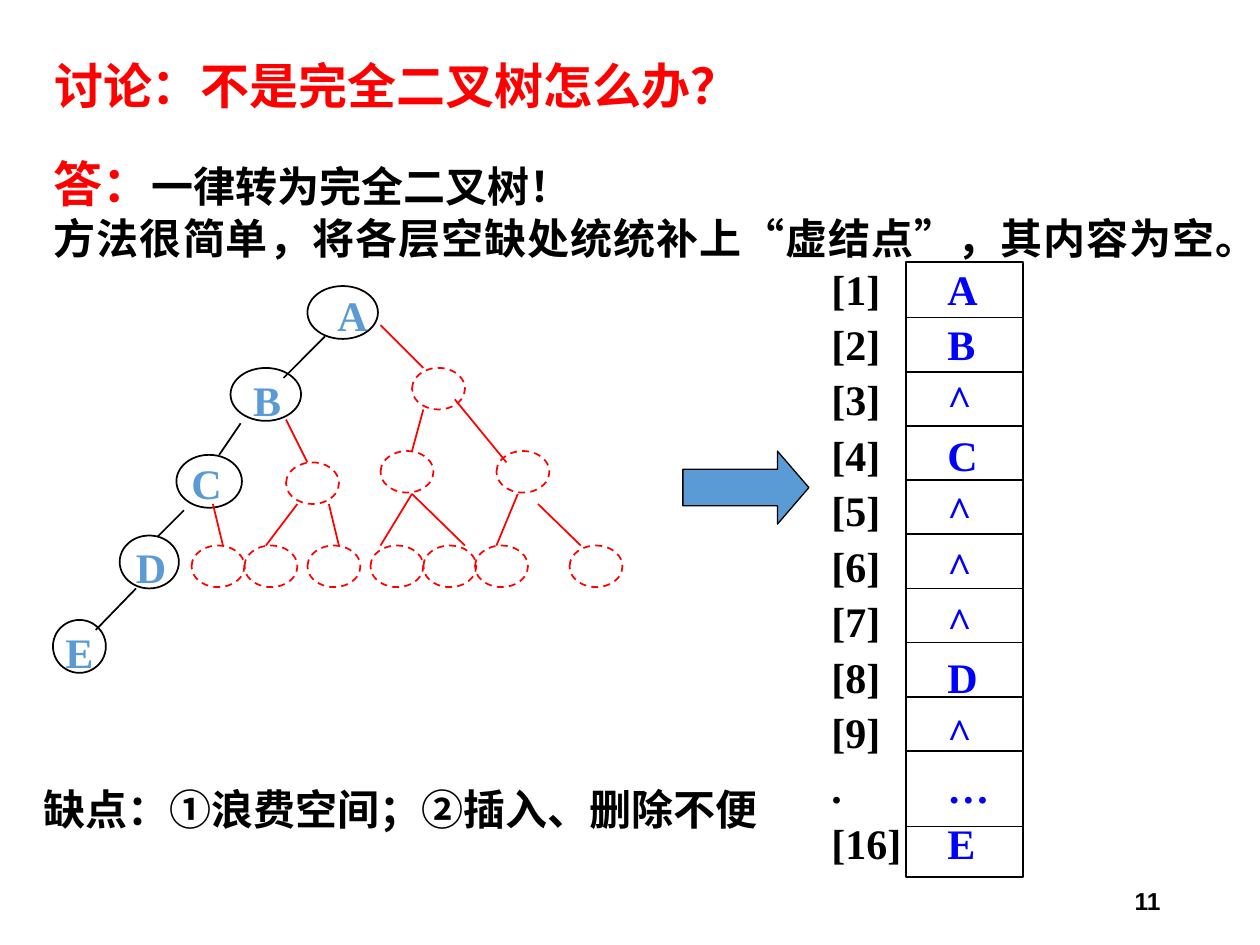
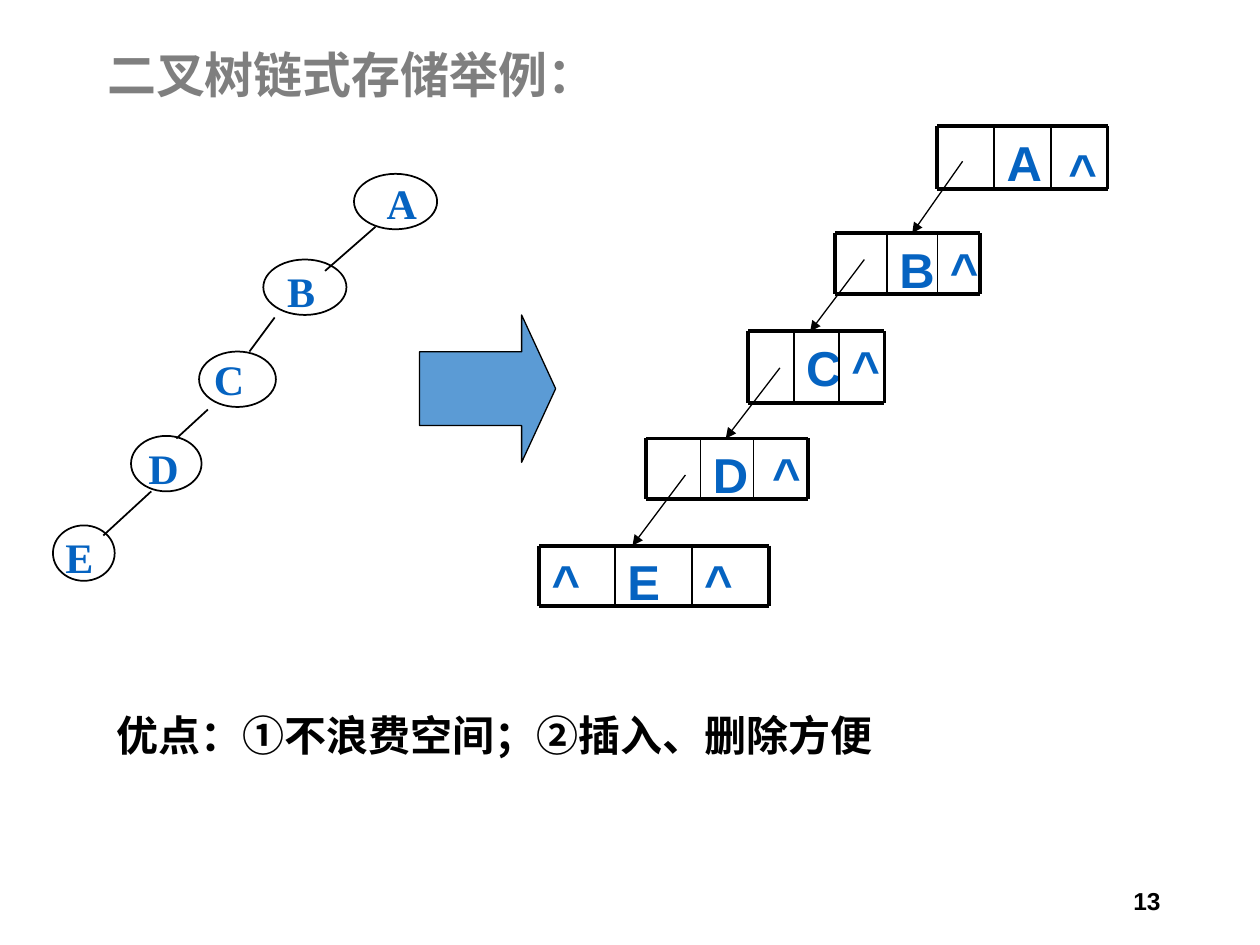
from lxml import etree
from pptx import Presentation
from pptx.dml.color import RGBColor
from pptx.enum.dml import MSO_LINE
from pptx.enum.shapes import MSO_CONNECTOR, MSO_SHAPE
from pptx.enum.text import MSO_ANCHOR, MSO_AUTO_SIZE, PP_ALIGN
from pptx.oxml.ns import qn
from pptx.util import Inches, Pt

STRAIGHT = MSO_CONNECTOR.STRAIGHT
OVAL, RECT, ARROW = MSO_SHAPE.OVAL, MSO_SHAPE.RECTANGLE, MSO_SHAPE.RIGHT_ARROW
LEFT, RIGHT, JUSTIFY = PP_ALIGN.LEFT, PP_ALIGN.RIGHT, PP_ALIGN.JUSTIFY
MIDDLE, TOP = MSO_ANCHOR.MIDDLE, MSO_ANCHOR.TOP
FIT, FIXED = MSO_AUTO_SIZE.SHAPE_TO_FIT_TEXT, MSO_AUTO_SIZE.NONE
DASH = MSO_LINE.DASH

BLACK = RGBColor(0x00, 0x00, 0x00)
RED = RGBColor(0xFF, 0x00, 0x00)
GREY = RGBColor(0x7F, 0x7F, 0x7F)
SKY = RGBColor(0x5B, 0x9B, 0xD5)
LINK = RGBColor(0x05, 0x63, 0xC1)
BLUE = RGBColor(0x00, 0x00, 0xFF)
CJK, SERIF, SANS = "Noto Sans CJK SC", "Times New Roman", "Arial"

prs = Presentation()
prs.slide_width, prs.slide_height = Inches(10), Inches(7.5)
CELL = prs.slide_width / 10  # square grid: 10 columns, 7.5 rows


def at(*cells):
    return [int(c * CELL) for c in cells]


def write(sp, lines, size, font, color, align=LEFT, anchor=TOP,
          wrap=True, spacing=None, before=0):
    tf = sp.text_frame
    tf.text = "\n".join(lines)
    tf.word_wrap = wrap
    tf.auto_size = FIXED if wrap else FIT
    tf.vertical_anchor = anchor
    for p in tf.paragraphs:
        p.alignment, p.line_spacing, p.space_before = align, spacing, Pt(before)
        p.font.size, p.font.bold, p.font.name = Pt(size), True, font
        p.font.color.rgb = color
        ea = etree.SubElement(p._p.pPr.find(qn("a:defRPr")), qn("a:ea"))
        ea.set("typeface", CJK)
    return tf


# Shared parts: title, page number, conclusion, block arrow
pages = [
    ("讨论：不是完全二叉树怎么办？", RED, (0.33, 0.42, 7.25, 0.57), "11",
     "缺点：①浪费空间；②插入、删除不便", (0.25, 6.17, 6.08, 0.5),
     (5.42, 3.58, 1, 0.58), 0.43),
    ("二叉树链式存储举例：", GREY, (0.75, 0.33, 5.17, 0.57), "13",
     "优点：①不浪费空间；②插入、删除方便", (0.83, 5.58, 7, 0.5),
     (3.33, 2.5, 1.08, 1.17), 0.25),
]
slides = []
for title, color, title_box, number, verdict, verdict_box, arrow_box, head in pages:
    s = prs.slides.add_slide(prs.slide_layouts[5])
    slides.append(s)
    sp = s.shapes.title
    sp.left, sp.top, sp.width, sp.height = at(*title_box)
    write(sp, [title], 28, CJK, color, anchor=MIDDLE, spacing=0.9)
    write(s.shapes.add_textbox(*at(7.06, 6.95, 2.25, 0.4)), [number],
          14, SANS, BLACK, align=RIGHT, anchor=MIDDLE)
    write(s.shapes.add_textbox(*at(*verdict_box)), [verdict], 24, CJK, BLACK)
    sp = s.shapes.add_shape(ARROW, *at(*arrow_box))
    sp.adjustments[0], sp.adjustments[1] = 0.5, head
    sp.shadow.inherit = False
    sp.fill.solid()
    sp.fill.fore_color.rgb = SKY
    sp.line.color.rgb = BLACK
    sp.line.width = Pt(0.75)
array_slide, linked_slide = slides

# Answer text
sp = array_slide.shapes.add_textbox(*at(0.33, 1.17, 9.42, 0.97))
tf = write(sp, ["答：", "方法很简单，将各层空缺处统统补上"], 24, CJK, BLACK, align=JUSTIFY)
answer, method = tf.paragraphs
r = answer.runs[0]
r.font.size = Pt(28)
r.font.color.rgb = RED
answer.add_run().text = "一律转为完全二叉树！"
for text, font in [("“", SERIF), ("虚结点", CJK), ("”", SERIF), ("，其内容为空。", CJK)]:
    r = method.add_run()
    r.text, r.font.name = text, font

# Array columns: indices and contents
indices = [f"[{i}]" for i in range(1, 10)] + [".", "[16]"]
contents = ["A", "B", "^", "C", "^", "^", "^", "D", "^", "…", "E"]
for x, w, column, color in [(6.5, 0.76, indices, BLACK), (7.42, 0.53, contents, BLUE)]:
    write(array_slide.shapes.add_textbox(*at(x, 2, w, 4.93)), column,
          24, SERIF, color, wrap=False, spacing=1.1)

# Tree letters: letter, left, top
letters = [
    (array_slide, SKY, [("A", 2.58, 2.25), ("B", 1.91, 2.92), ("C", 1.42, 3.58),
                        ("D", 0.98, 4.25), ("E", 0.42, 4.92)]),
    (linked_slide, LINK, [("A", 2.97, 1.36), ("B", 2.18, 2.06), ("C", 1.6, 2.76),
                          ("D", 1.08, 3.46), ("E", 0.42, 4.17)]),
]
for s, color, places in letters:
    for letter, x, y in places:
        w = 0.42 if letter in "BE" else 0.44
        write(s.shapes.add_textbox(*at(x, y, w, 0.5)), [letter],
              24, SERIF, color, wrap=False)

# Outlines: tree nodes, dashed empty nodes, array frame
array_nodes = [(2.44, 2.27, 0.56, 0.42), (1.83, 2.92, 0.56, 0.42),
               (1.4, 3.61, 0.52, 0.42), (0.95, 4.25, 0.47, 0.42),
               (0.42, 4.92, 0.42, 0.42)]
linked_nodes = [(2.81, 1.38, 0.66, 0.44), (2.09, 2.06, 0.66, 0.44),
                (1.58, 2.79, 0.61, 0.44), (1.04, 3.46, 0.56, 0.44),
                (0.42, 4.17, 0.49, 0.44)]
empty_rows = [(2.92, [3.27]), (3.58, [3.02, 3.94]), (3.67, [2.27]),
              (4.33, [1.52, 1.94, 2.44, 2.94, 3.36, 3.77, 4.52])]
empty_nodes = [(x, y, 0.42, 0.33) for y, xs in empty_rows for x in xs]
outlines = [
    (array_slide, OVAL, array_nodes, BLACK, None),
    (array_slide, OVAL, empty_nodes, RED, DASH),
    (array_slide, RECT, [(7.19, 2.08, 0.93, 4.88)], BLACK, None),
    (linked_slide, OVAL, linked_nodes, BLACK, None),
]
for s, kind, boxes, color, dash in outlines:
    for box in boxes:
        sp = s.shapes.add_shape(kind, *at(*box))
        sp.shadow.inherit = False
        sp.fill.background()
        sp.line.color.rgb = color
        sp.line.width = Pt(1)
        sp.line.dash_style = dash

# Linked records: top, height, cell borders, then marks with left and top
records = [
    (1, 0.5, [7.44, 7.89, 8.34, 8.79], [("A", 7.89, 1), ("^", 8.38, 1.07)]),
    (1.85, 0.48, [6.63, 7.04, 7.44, 7.78], [("B", 7.04, 1.85), ("^", 7.44, 1.85)]),
    (2.63, 0.57, [5.94, 6.3, 6.66, 7.02], [("C", 6.3, 2.63), ("^", 6.66, 2.63)]),
    (3.48, 0.48, [5.13, 5.56, 5.98, 6.41], [("D", 5.56, 3.48), ("^", 6.03, 3.48)]),
    (4.33, 0.48, [4.28, 4.88, 5.49, 6.1],
     [("^", 4.28, 4.33), ("E", 4.88, 4.33), ("^", 5.49, 4.33)]),
]
frames, dividers = [], []
for y, h, xs, marks in records:
    w = xs[2] - xs[1]
    for mark, x, top in marks:
        write(linked_slide.shapes.add_textbox(*at(x, top, w, h)), [mark],
              28, SANS, LINK, before=3.6)
    frames += [(xs[0], edge, xs[3], edge) for edge in (y, y + h)]
    frames += [(x, y, x, y + h) for x in (xs[0], xs[3])]
    dividers += [(x, y, x, y + h) for x in xs[1:3]]

# Lines: tree edges, array rules, record borders, pointers
array_edges = [(2.58, 2.67, 2.25, 3), (1.91, 3.36, 1.74, 3.61),
               (1.46, 4.05, 1.25, 4.26), (1.08, 4.67, 0.76, 5)]
linked_edges = [(2.98, 1.8, 2.58, 2.15), (2.18, 2.52, 1.98, 2.79),
                (1.65, 3.25, 1.4, 3.48), (1.2, 3.9, 0.82, 4.25)]
empty_edges = [(3.02, 2.58, 3.36, 2.92), (3.61, 3.17, 4.02, 3.67),
               (2.27, 3.33, 2.44, 3.67), (3.36, 3.25, 3.27, 3.58),
               (1.69, 4, 1.77, 4.33), (2.36, 4, 2.11, 4.33),
               (2.61, 4, 2.69, 4.33), (3.27, 3.92, 3.02, 4.33),
               (3.27, 3.92, 3.69, 4.33), (4.11, 3.92, 3.94, 4.33),
               (4.27, 4, 4.61, 4.33)]
rule_tops = [2.52 + 0.43 * i for i in range(9)] + [6.56]
array_rules = [(7.18, y, 8.13, y) for y in rule_tops]
pointers = [(7.64, 1.28, 7.24, 1.85), (6.86, 2.06, 6.43, 2.63),
            (6.19, 2.92, 5.76, 3.48), (5.44, 3.77, 5.02, 4.33)]
line_sets = [
    (array_slide, array_edges + array_rules, BLACK, 1),
    (array_slide, empty_edges, RED, 1),
    (linked_slide, linked_edges + dividers, BLACK, 1),
    (linked_slide, frames, BLACK, 2.25),
    (linked_slide, pointers, BLACK, 0.75),
]
for s, ends, color, width in line_sets:
    for end in ends:
        line = s.shapes.add_connector(STRAIGHT, *at(*end))
        line.line.color.rgb = color
        line.line.width = Pt(width)
        if ends is pointers:
            tail = etree.SubElement(line.line._get_or_add_ln(), qn("a:tailEnd"))
            tail.set("type", "triangle")
        etree.SubElement(line._element.spPr, qn("a:effectLst"))

prs.save("out.pptx")
